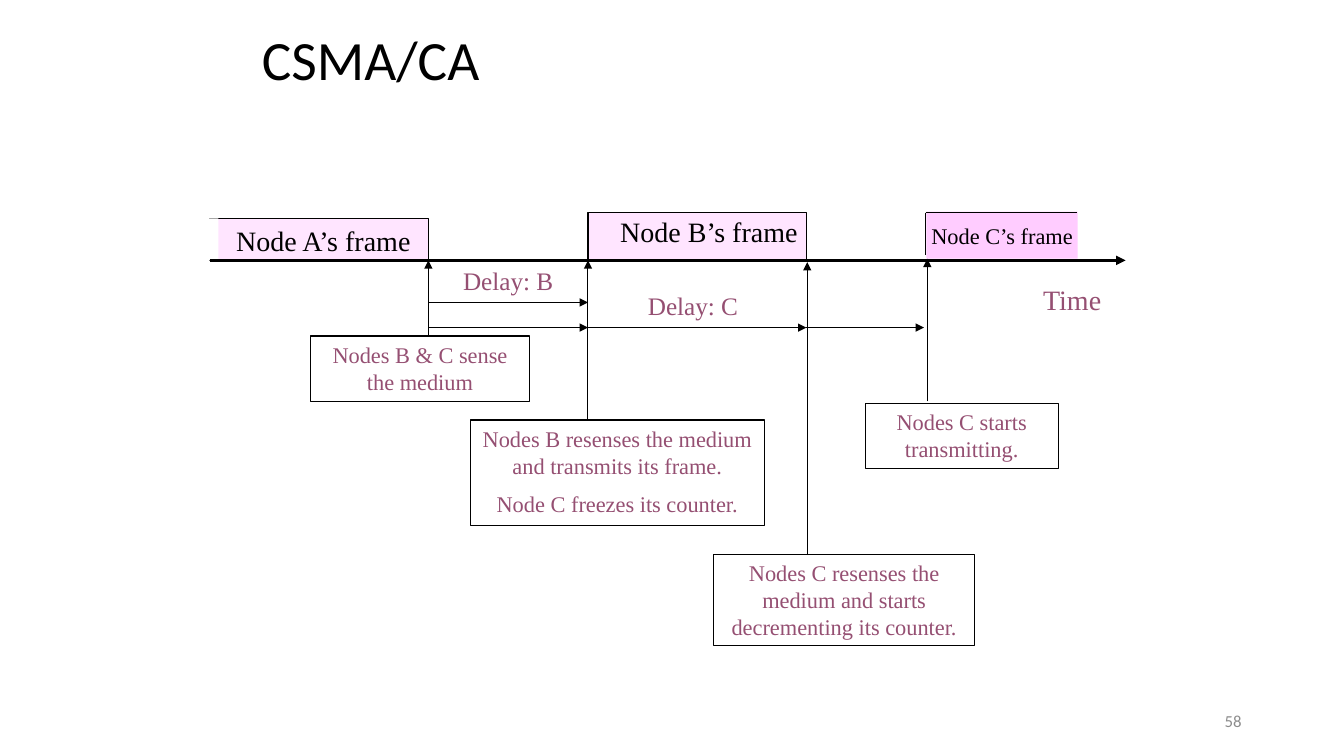
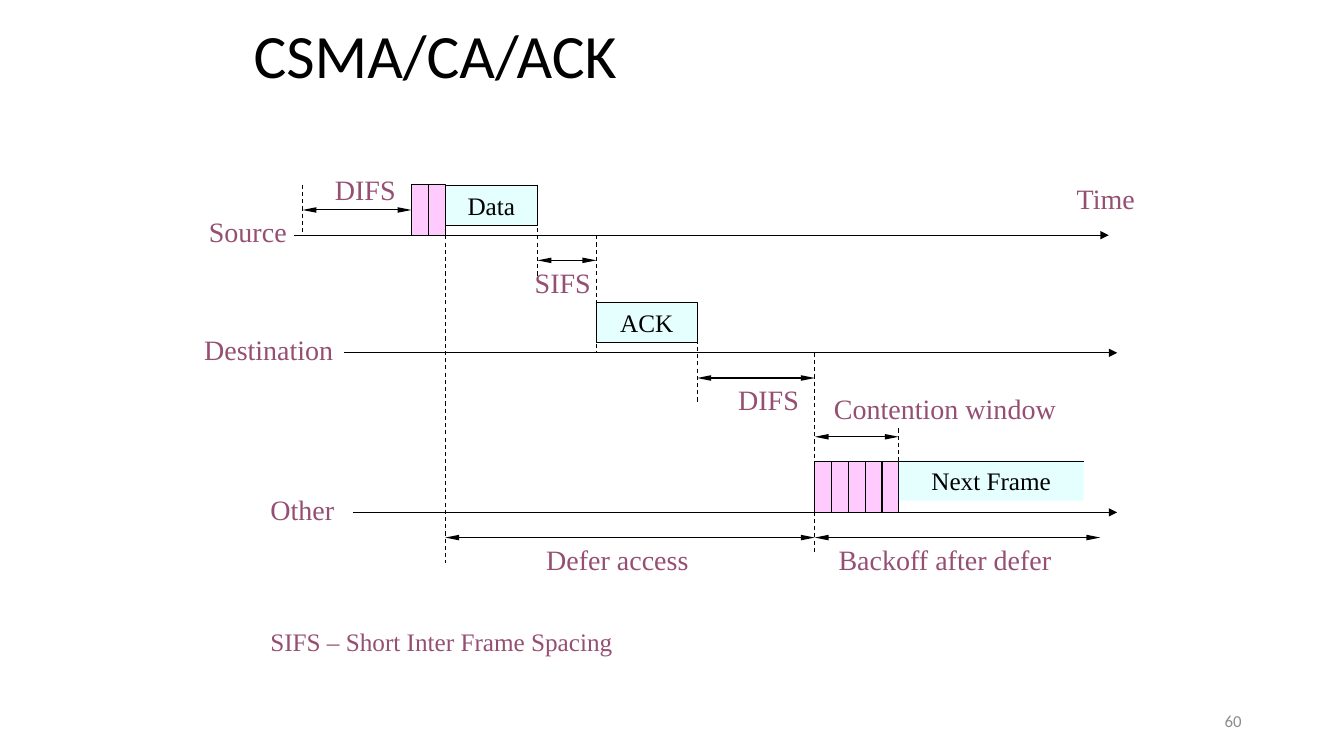
from dataclasses import dataclass
from typing import Optional

from lxml.etree import SubElement
from pptx import Presentation
from pptx.dml.color import RGBColor
from pptx.enum.dml import MSO_LINE
from pptx.enum.shapes import MSO_CONNECTOR as Link, MSO_SHAPE as Preset
from pptx.enum.text import MSO_ANCHOR as Anchor, PP_ALIGN as Align
from pptx.oxml.ns import qn
from pptx.util import Emu, Inches, Pt

COLUMNS, ROWS = 160, 90  # grid of twelfths of an inch


@dataclass(frozen=True)
class Theme:
    ink: str = "000000"
    accent: str = "954F72"
    grey: str = "8C8C8C"
    paper: str = "FFFFFF"
    frame: str = "FFCCFF"
    slot: str = "FF99FF"
    reply: str = "CCFFFF"
    heading_font: str = "Calibri"
    body_font: str = "Times New Roman"
    label_size: float = 20
    small_size: float = 18
    note_size: float = 16
    number_size: float = 12
    thin: float = 0.75
    thick: float = 2.25


THEME = Theme()


@dataclass(frozen=True)
class Text:
    words: str  # one paragraph per line
    size: float = THEME.label_size
    color: str = THEME.accent
    font: str = THEME.body_font
    align: Align = Align.CENTER
    anchor: Anchor = Anchor.TOP
    spacing: float = 1.0
    side: float = 0.1
    top: float = 0.05


@dataclass(frozen=True)
class Box:
    left: float
    top: float
    width: float
    height: float = 5.2
    text: Optional[Text] = None
    fill: Optional[str] = None
    opacity: int = 100
    outline: bool = False


@dataclass(frozen=True)
class Stroke:
    x1: float
    y1: float
    x2: float
    y2: float
    weight: float = THEME.thin
    dashed: bool = False
    heads: int = 0  # 0 plain, 1 arrow at the end, 2 slim arrows at both ends


def grid(units: float) -> Emu:
    return Emu(round(Inches(units / 12)))


def apply(target, formats: dict) -> None:
    for name, value in formats.items():
        setattr(target, name, value)


def write(frame, text: Text) -> None:
    apply(frame, {"word_wrap": True, "vertical_anchor": text.anchor,
                  "margin_left": Inches(text.side), "margin_right": Inches(text.side),
                  "margin_top": Inches(text.top), "margin_bottom": Inches(text.top)})
    for index, words in enumerate(text.words.split("\n")):
        para = frame.add_paragraph() if index else frame.paragraphs[0]
        apply(para, {"alignment": text.align, "line_spacing": text.spacing,
                     "space_before": Pt(text.size / 2 if index else 0)})
        span = para.add_run()
        span.text = words
        apply(span.font, {"name": text.font, "size": Pt(text.size)})
        span.font.color.rgb = RGBColor.from_string(text.color)


def draw_box(page, box: Box):
    place = [grid(n) for n in (box.left, box.top, box.width, box.height)]
    if box.fill or box.outline:
        shape = page.shapes.add_shape(Preset.RECTANGLE, *place)
        shape.shadow.inherit = False
        if box.fill:
            shape.fill.solid()
            shape.fill.fore_color.rgb = RGBColor.from_string(box.fill)
            if box.opacity < 100:
                color = shape._element.spPr.find(f"{qn('a:solidFill')}/{qn('a:srgbClr')}")
                SubElement(color, qn("a:alpha")).set("val", str(box.opacity * 1000))
        else:
            shape.fill.background()
        if box.outline:
            shape.line.color.rgb = RGBColor.from_string(THEME.ink)
            shape.line.width = Pt(THEME.thin)
        else:
            shape.line.fill.background()
    else:
        shape = page.shapes.add_textbox(*place)
    if box.text:
        write(shape.text_frame, box.text)
    return shape


def draw_stroke(page, stroke: Stroke):
    ends = [grid(n) for n in (stroke.x1, stroke.y1, stroke.x2, stroke.y2)]
    line = page.shapes.add_connector(Link.STRAIGHT, *ends)
    line.line.color.rgb = RGBColor.from_string(THEME.ink)
    line.line.width = Pt(stroke.weight)
    if stroke.dashed:
        line.line.dash_style = MSO_LINE.DASH
    properties = line._element.spPr
    width, length = ("sm", "lg") if stroke.heads == 2 else ("med", "med")
    for tag in ((), ("tailEnd",), ("headEnd", "tailEnd"))[stroke.heads]:
        head = SubElement(properties.find(qn("a:ln")), qn(f"a:{tag}"))
        for name, value in {"type": "triangle", "w": width, "len": length}.items():
            head.set(name, value)
    SubElement(properties, qn("a:effectLst"))
    return line


def draw_all(page, items: list) -> None:
    for item in items:
        if isinstance(item, Box):
            draw_box(page, item)
        else:
            draw_stroke(page, item)


def arrow(x1: float, y1: float, x2: float, y2: float, weight: float = THEME.thin) -> Stroke:
    return Stroke(x1, y1, x2, y2, weight, heads=1)


def label(left: float, top: float, width: float, words: str, **style) -> Box:
    return Box(left, top, width, text=Text(words, **style))


def note(left: float, top: float, width: float, height: float, words: str) -> Box:
    return Box(left, top, width, height, Text(words, THEME.note_size), outline=True)


def block(left: float, top: float, width: float, words: str, outline: bool = True) -> Box:
    return Box(left, top, width, 4.8, Text(words, THEME.small_size, THEME.ink),
               THEME.reply, 50, outline)


def slots(left: float, top: float, count: int) -> list[Box]:
    return [Box(left + 2 * i, top, 2, 6, fill=THEME.slot, opacity=50, outline=True)
            for i in range(count)]


def add_page(deck, title: Box, number: str):
    page = deck.slides.add_slide(deck.slide_layouts[6])
    draw_box(page, title)
    draw_box(page, Box(113, 83.4, 36, 4.8, Text(
        number, THEME.number_size, THEME.grey, THEME.heading_font, Align.RIGHT, Anchor.MIDDLE)))
    return page


def heading(words: str, size: float) -> Text:
    return Text(words, size, THEME.ink, THEME.heading_font, Align.LEFT, Anchor.MIDDLE, 0.9)


def build_collision_avoidance(deck) -> None:
    page = add_page(deck, Box(30, 3, 110, 9, heading("CSMA/CA", 39.6)), "58")
    axis, delay_b, delay_c = 31, 36, 39
    sense, resend, resume, start = 51, 70, 96, 110
    frame_text = Text("Node C’s frame", THEME.note_size, THEME.ink, side=0, top=0.1)
    draw_all(page, [
        # Frames on the time axis
        Box(25, 26, 26, 5, fill=THEME.frame, opacity=50, outline=True),
        label(26, 26, 25, "Node A’s frame", color=THEME.ink),
        Box(resend, 25.3, 26, 5.7, fill=THEME.frame, opacity=50, outline=True),
        label(68.9, 25, 31, "Node B’s frame", color=THEME.ink),
        Box(23, 26, 3, 5, fill=THEME.paper),
        Box(110.3, 25.2, 18, 5.6, frame_text, THEME.frame),
        Stroke(110.2, 25.3, 110.2, 30.4),
        Stroke(110.2, 25.3, 128.2, 25.3),
        arrow(25, axis, 134, axis, THEME.thick),
        label(123, 33, 11, "Time", align=Align.LEFT),
        # Delays
        arrow(sense, delay_b, resend, delay_b),
        *[arrow(x1, delay_c, x2, delay_c)
          for x1, x2 in ((sense, resend), (resend, resume), (resume, start))],
        label(sense, axis, 19, "Delay: B", size=THEME.small_size),
        label(73, 34, 19, "Delay: C", size=THEME.small_size),
        # Events and their notes
        arrow(sense, 40, sense, axis),
        note(37, 40, 26, 7.8, "Nodes B & C sense the medium"),
        arrow(resend, 50, resend, axis),
        note(56, 50, 35, 12.6, "Nodes B resenses the medium and transmits its frame.\n"
                               "Node C freezes its counter."),
        arrow(96.1, 66.1, 96.1, 31.2),
        note(85, 66, 31, 10.9,
             "Nodes C resenses the medium and starts decrementing its counter."),
        arrow(110.4, 47.8, 110.4, 30.8),
        note(103, 48, 23, 7.8, "Nodes C starts transmitting."),
    ])


def build_acknowledgement(deck) -> None:
    page = add_page(deck, Box(29, 1, 105, 12, heading("CSMA/CA/ACK", 44)), "60")
    source, destination, other = 28, 42, 61
    # Time axes and dashed moments
    axes = ((35, 132, source), (41, 133, destination), (42, 133, other))
    moments = ((53, 22, 67), (36, 22, source), (64, 22, 33), (71, source, destination),
               (83, 37, 48), (97, destination, 66), (107, 51, 56))
    draw_all(page, [arrow(x1, y, x2, y) for x1, x2, y in axes])
    draw_all(page, [Stroke(x, y1, x, y2, dashed=True) for x, y1, y2 in moments])
    # Intervals
    intervals = ((64, 71, 31), (83, 97, 45), (97, 107, 52), (53, 97, 64), (97, 131, 64))
    draw_all(page, [Stroke(x1, y, x2, y, heads=2) for x1, x2, y in intervals])
    first_wait = draw_stroke(page, Stroke(36, 25, 49, 25, heads=2))
    # Slots and frames
    first_slot, second_slot = [draw_box(page, slot) for slot in slots(49, 22, 2)]
    first_wait.end_connect(first_slot, 1)
    draw_all(page, slots(97, 55, 5) + [
        block(107, 54.8, 22, "Next Frame", outline=False),
        Stroke(107, 55, 129, 55),
        block(71, 36, 12, "ACK"),
        block(53, 22.1, 11, "Data"),
        # Labels
        label(38, 20, 11, "DIFS"),
        label(62, 31, 10, "SIFS"),
        label(86, 45, 11, "DIFS"),
        label(22, 25, 15, "Source"),
        label(23, 39, 18, "Destination"),
        label(31, 58, 11, "Other", align=Align.LEFT),
        label(97, 46, 31, "Contention window"),
        label(58, 64, 31, "Defer access"),
        label(97, 64, 31, "Backoff after defer"),
        label(127, 21, 10, "Time", align=Align.LEFT),
        label(31, 74, 59, "SIFS – Short Inter Frame Spacing",
              size=THEME.small_size, align=Align.LEFT),
    ])


def main() -> None:
    deck = Presentation()
    apply(deck, {"slide_width": grid(COLUMNS), "slide_height": grid(ROWS)})
    build_collision_avoidance(deck)
    build_acknowledgement(deck)
    deck.save("out.pptx")


if __name__ == "__main__":
    main()
